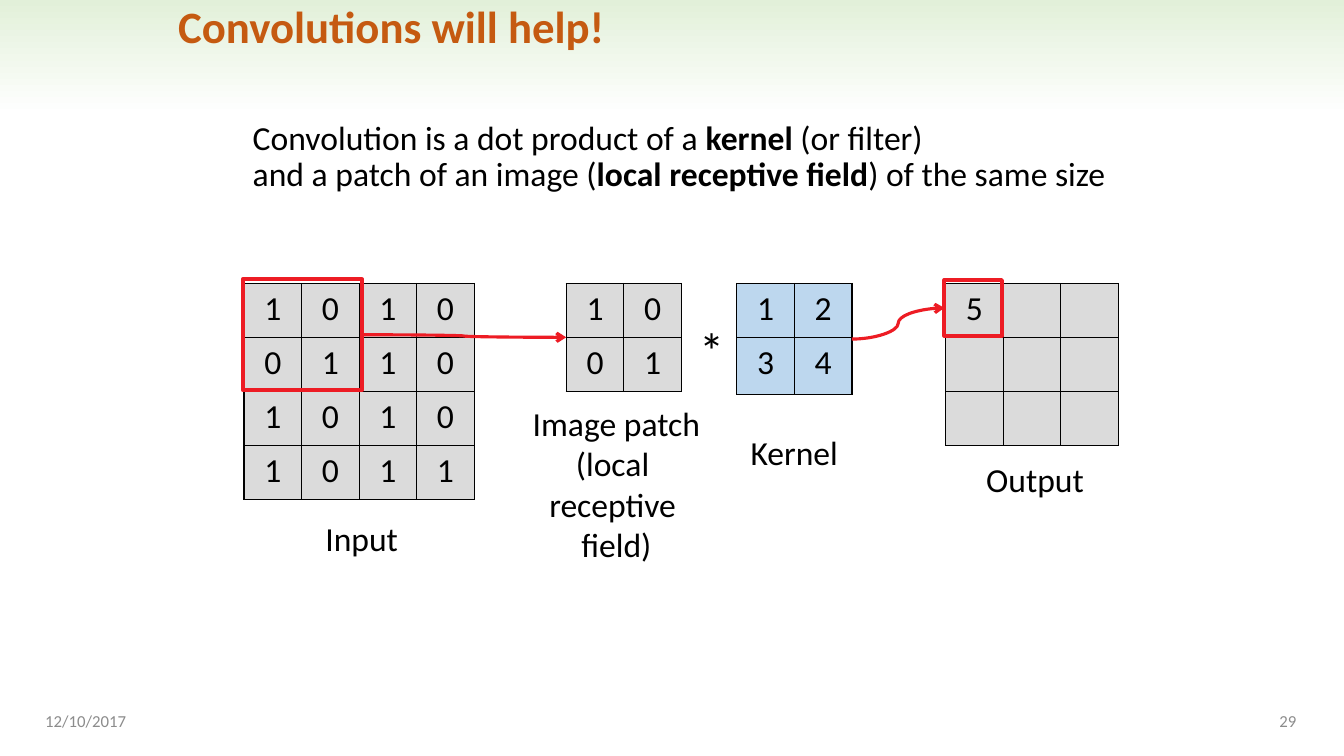
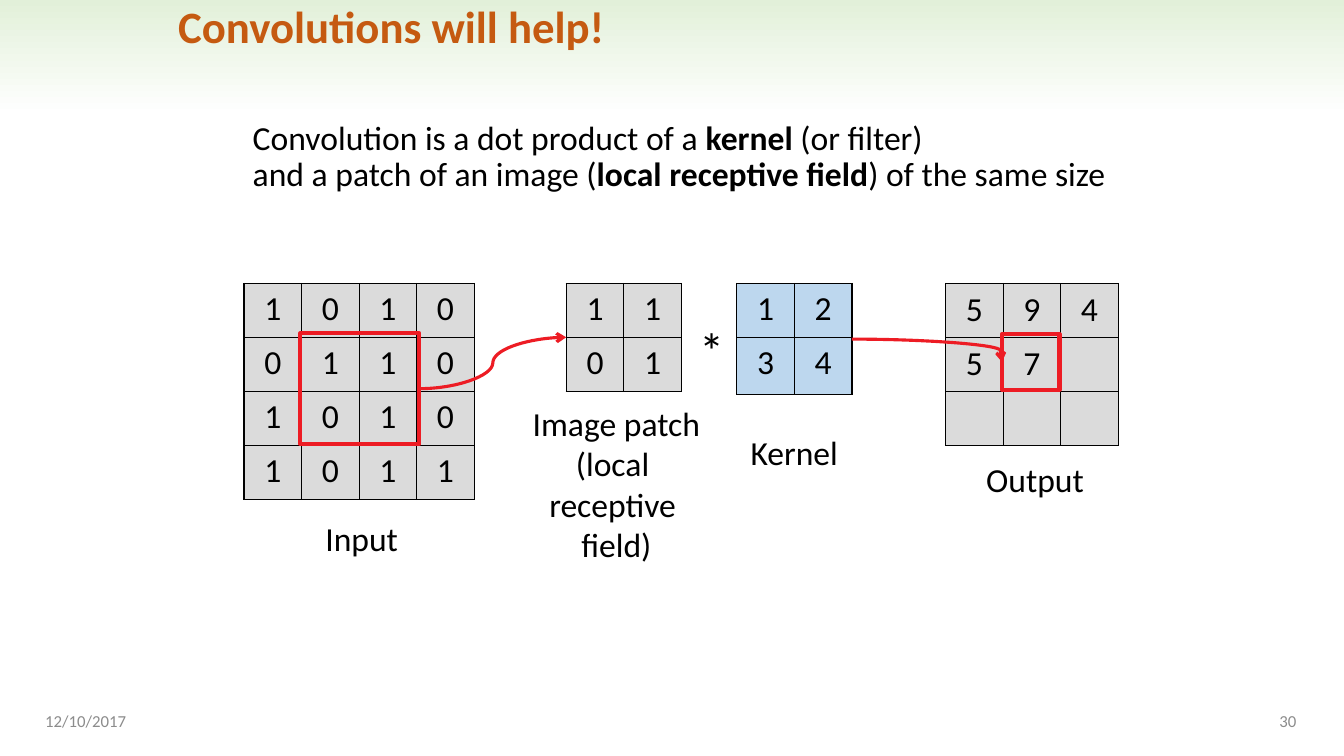
from lxml import etree
from pptx import Presentation
from pptx.dml.color import RGBColor
from pptx.enum.shapes import MSO_CONNECTOR, MSO_SHAPE
from pptx.enum.text import MSO_ANCHOR, PP_ALIGN
from pptx.oxml import parse_xml
from pptx.oxml.ns import qn
from pptx.util import Cm, Pt

LEFT, CENTER, RIGHT = PP_ALIGN.LEFT, PP_ALIGN.CENTER, PP_ALIGN.RIGHT
TOP, MIDDLE = MSO_ANCHOR.TOP, MSO_ANCHOR.MIDDLE
RECT, CURVE = MSO_SHAPE.RECTANGLE, MSO_CONNECTOR.CURVE

BLACK = RGBColor(0x00, 0x00, 0x00)
WHITE = RGBColor(0xFF, 0xFF, 0xFF)
PALE_GREEN = RGBColor(0xE2, 0xF0, 0xD9)
ORANGE = RGBColor(0xC5, 0x5A, 0x11)
GRAY = RGBColor(0xDB, 0xDB, 0xDB)
BLUE = RGBColor(0xBD, 0xD7, 0xEE)
RED = RGBColor(0xED, 0x1C, 0x24)
FOOTER_GRAY = RGBColor(0x8C, 0x8C, 0x8C)

FONT = "Calibri"
A_NS = "http://schemas.openxmlformats.org/drawingml/2006/main"

# All positions and sizes are in centimetres.
SLIDE_W, SLIDE_H = 33.87, 19.05
CELL_W, CELL_H = 1.45, 1.36
GRID_TOP = 7.14
INPUT_X, PATCH_X, KERNEL_X, OUTPUT_X = 6.15, 14.27, 18.57, 23.83
KERNEL_HEIGHTS = [CELL_H, 1.45]

TITLE = "Convolutions will help!"
DEFINITION = ("Convolution is a dot product of a **kernel** (or filter) \n"
              "and a patch of an image (**local receptive field**) of the same size")
DATE = "12/10/2017"
LABELS = [
    (["Input"], (7.54, 12.93, 3.15, 1.27)),
    (["Image patch", "(local \nreceptive \nfield)"], (11.89, 10.03, 7.29, 4.37)),
    (["Kernel"], (18.44, 10.77, 3.15, 1.27)),
    (["Output"], (24.51, 11.43, 3.15, 1.27)),
]
INPUT = ["1010", "0110", "1010", "1011"]
KERNEL = ["12", "34"]

# "patch_at" and "result_at" are (row, column) of the highlighted cells.
STEPS = [
    {"number": "29", "patch": ["10", "01"], "output": ["5  ", "   ", "   "],
     "patch_at": (0, 0), "result_at": (0, 0), "anchor": TOP, "bend": 0.5},
    {"number": "30", "patch": ["11", "01"], "output": ["594", "57 ", "   "],
     "patch_at": (1, 1), "result_at": (1, 1), "anchor": MIDDLE, "bend": 0.99},
]


def write(tf, paragraphs, size=24, color=BLACK, bold=False, align=LEFT,
          spacing=None, after=None):
    """Fill a text frame; **marks** set bold and a newline breaks the line."""
    for i, text in enumerate(paragraphs):
        p = tf.add_paragraph() if i else tf.paragraphs[0]
        p.alignment, p.line_spacing, p.space_after = align, spacing, after
        for j, piece in enumerate(text.split("**")):
            for k, line in enumerate(piece.split("\n")):
                if k:
                    p.add_line_break()
                r = p.add_run()
                r.text = line
                r.font.name, r.font.size = FONT, Pt(size)
                r.font.color.rgb = color
                r.font.bold = bold or j % 2 == 1


def add_text(s, paragraphs, box, anchor=TOP, **style):
    tf = s.shapes.add_textbox(*map(Cm, box)).text_frame
    tf.word_wrap = True
    tf.vertical_anchor = anchor
    write(tf, paragraphs, **style)


def add_rect(s, box):
    sp = s.shapes.add_shape(RECT, *map(Cm, box))
    sp.shadow.inherit = False
    return sp


def add_frame(s, label):
    """Add what every slide shares: band, title, definition and footers."""
    band = add_rect(s, (0, 0, SLIDE_W, 2.9))
    band.line.fill.background()
    band.fill.gradient()
    band.fill.gradient_angle = 270
    for stop, color in zip(band.fill.gradient_stops, (PALE_GREEN, WHITE)):
        stop.color.rgb = color
    add_text(s, [TITLE], (4.24, 0, 25.4, 1.73), size=32, color=ORANGE,
             bold=True, spacing=0.9)
    add_text(s, [DEFINITION], (6.12, 2.92, 23.19, 3.15), spacing=Pt(26),
             after=Pt(12))
    for text, x, align in ((DATE, 0.89, LEFT), (label, 25.3, RIGHT)):
        add_text(s, [text], (x, 17.66, 7.62, 1.02), anchor=MIDDLE, size=12,
                 color=FOOTER_GRAY, align=align)


def add_borders(cell):
    tc_pr = cell._tc.get_or_add_tcPr()
    for i, side in enumerate("LRTB"):
        tc_pr.insert(i, parse_xml(
            f'<a:ln{side} xmlns:a="{A_NS}" w="12700"><a:solidFill>'
            f'<a:srgbClr val="{BLACK}"/></a:solidFill></a:ln{side}>'))


def add_grid(s, rows, x, fill=GRAY, heights=None, anchor=TOP):
    heights = heights or [CELL_H] * len(rows)
    n = len(rows[0])
    table = s.shapes.add_table(len(rows), n, Cm(x), Cm(GRID_TOP),
                               Cm(n * CELL_W), Cm(sum(heights))).table
    table.first_row = table.horz_banding = False
    for i, row in enumerate(rows):
        table.rows[i].height = Cm(heights[i])
        for j, value in enumerate(row):
            cell = table.cell(i, j)
            cell.fill.solid()
            cell.fill.fore_color.rgb = fill
            cell.vertical_anchor = anchor
            add_borders(cell)
            if value.strip():
                write(cell.text_frame, [value], align=CENTER)


def add_highlight(s, x, y, at, w, h):
    """Outline cells of the grid; return the left, right and middle height."""
    row, col = at
    left, top = x + col * CELL_W, y + row * CELL_H
    sp = add_rect(s, (left, top, w, h))
    sp.fill.background()
    sp.line.color.rgb, sp.line.width = RED, Pt(3)
    return left, left + w, top + h / 2


def add_arrow(s, start, end, bend=0.5):
    c = s.shapes.add_connector(CURVE, *map(Cm, start + end))
    c.line.color.rgb, c.line.width = RED, Pt(2.25)
    etree.SubElement(c.line._get_or_add_ln(), qn("a:tailEnd"), type="arrow")
    sp_pr = c._element.spPr
    etree.SubElement(sp_pr, qn("a:effectLst"))
    geom = sp_pr.find(qn("a:prstGeom"))
    av_lst = geom.find(qn("a:avLst"))
    if av_lst is None:
        av_lst = etree.SubElement(geom, qn("a:avLst"))
    etree.SubElement(av_lst, qn("a:gd"), name="adj1",
                     fmla=f"val {round(bend * 100000)}")


def add_step(prs, step):
    s = prs.slides.add_slide(prs.slide_layouts[6])
    add_frame(s, step["number"])
    add_grid(s, INPUT, INPUT_X)
    add_grid(s, step["patch"], PATCH_X)
    add_grid(s, step["output"], OUTPUT_X, anchor=step["anchor"])
    add_grid(s, KERNEL, KERNEL_X, fill=BLUE, heights=KERNEL_HEIGHTS)

    _, field_right, field_mid = add_highlight(
        s, INPUT_X - 0.03, GRID_TOP - 0.1, step["patch_at"], 3, 2.79)
    result_left, _, result_mid = add_highlight(
        s, OUTPUT_X - 0.03, GRID_TOP - 0.08, step["result_at"], CELL_W, 1.4)
    add_arrow(s, (field_right, field_mid), (PATCH_X, GRID_TOP + CELL_H))
    add_arrow(s, (KERNEL_X + 2 * CELL_W, GRID_TOP + sum(KERNEL_HEIGHTS) / 2),
              (result_left, result_mid), step["bend"])

    for paragraphs, box in LABELS:
        add_text(s, paragraphs, box, align=CENTER)
    add_text(s, ["*"], (17.37, 7.92, 1.09, 1.8), size=36)


def main():
    prs = Presentation()
    prs.slide_width, prs.slide_height = Cm(SLIDE_W), Cm(SLIDE_H)
    for step in STEPS:
        add_step(prs, step)
    prs.save("out.pptx")


if __name__ == "__main__":
    main()
